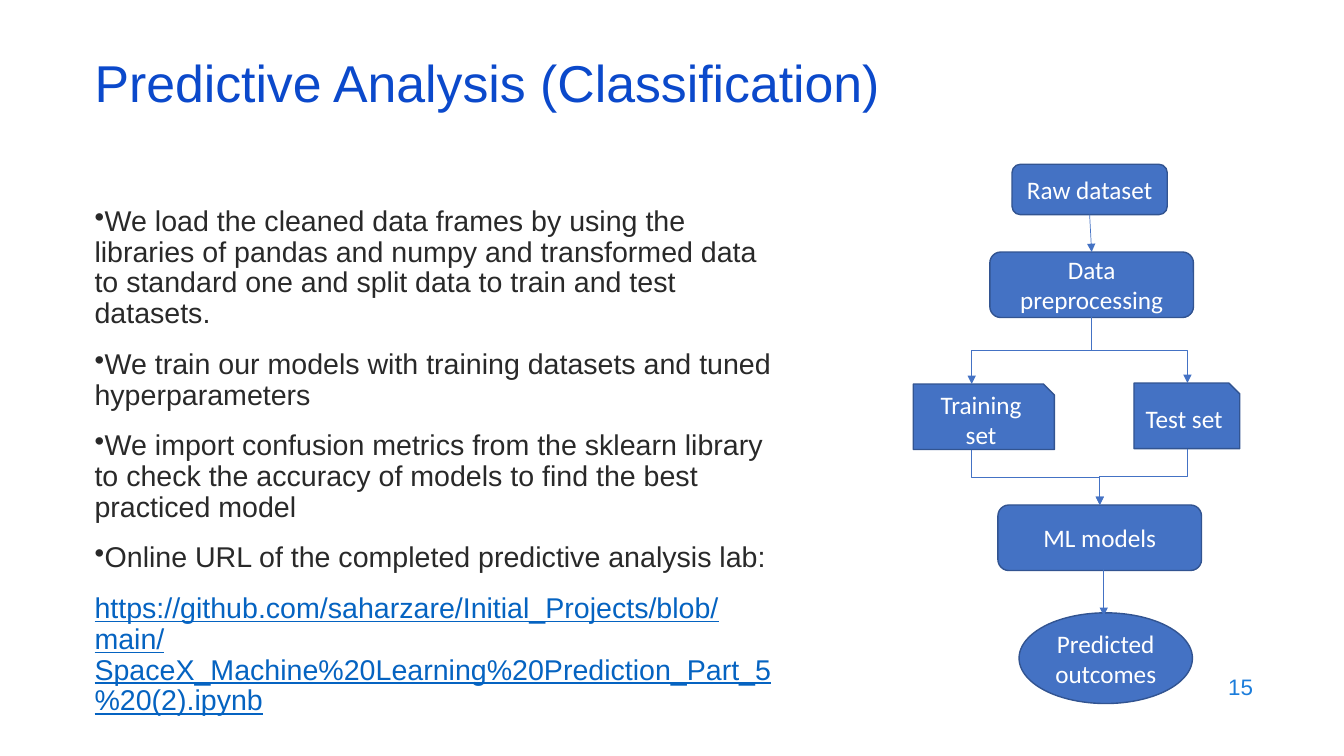
from dataclasses import dataclass
from typing import Any

from lxml import etree
from pptx import Presentation
from pptx.dml.color import RGBColor
from pptx.enum.shapes import MSO_CONNECTOR, MSO_SHAPE
from pptx.enum.text import MSO_ANCHOR, PP_ALIGN
from pptx.oxml.ns import qn
from pptx.util import Inches, Pt

ROUNDED = MSO_SHAPE.ROUNDED_RECTANGLE
SNIPPED = MSO_SHAPE.SNIP_1_RECTANGLE
OVAL = MSO_SHAPE.OVAL
STRAIGHT = MSO_CONNECTOR.STRAIGHT
ELBOW = MSO_CONNECTOR.ELBOW
TOP, MIDDLE = MSO_ANCHOR.TOP, MSO_ANCHOR.MIDDLE
LEFT, CENTER, RIGHT = PP_ALIGN.LEFT, PP_ALIGN.CENTER, PP_ALIGN.RIGHT

COLUMNS, ROWS = 80, 45
SLIDE_WIDTH, SLIDE_HEIGHT = Inches(13.33), Inches(7.5)
TOP_SITE, BOTTOM_SITE = 0, 2
QUARTER_TURN = 5400000

COLORS = {
    "title": "0B49CB",
    "body": "292929",
    "link": "0563C1",
    "number": "1C7DDB",
    "step": "4472C4",
    "outline": "325491",
    "label": "FFFFFF",
}


@dataclass(frozen=True)
class Area:
    column: float
    row: float
    columns: float
    rows: float


@dataclass(frozen=True)
class Line:
    text: str
    color: str
    bullet: bool = False
    underline: bool | None = None


@dataclass(frozen=True)
class TextBlock:
    area: Area
    lines: tuple[Line, ...]
    size: float
    anchor: MSO_ANCHOR
    alignment: PP_ALIGN
    spacing: float = 1.0
    gap: float = 0


@dataclass(frozen=True)
class Step:
    label: str
    outline: MSO_SHAPE
    area: Area


@dataclass(frozen=True)
class Arrow:
    start: tuple[float, float]
    end: tuple[float, float]


TEXT_BLOCKS = (
    TextBlock(Area(57.18, 39.54, 18, 2.64), (Line("15", "number"),), 16, MIDDLE, RIGHT),
    TextBlock(
        Area(5.04, 12, 41.58, 28.56),
        (
            Line("We load the cleaned data frames by using the libraries of pandas and numpy "
                 "and transformed data to standard one and split data to train and test datasets.",
                 "body", bullet=True),
            Line("We train our models with training datasets and tuned hyperparameters",
                 "body", bullet=True),
            Line("We import confusion metrics from the sklearn library to check the accuracy "
                 "of models to find the best practiced model", "body", bullet=True),
            Line("Online URL of the completed predictive analysis lab:", "body", bullet=True),
            Line("https://github.com/saharzare/Initial_Projects/blob/main/"
                 "SpaceX_Machine%20Learning%20Prediction_Part_5%20(2).ipynb",
                 "link", underline=True),
        ),
        20.4, TOP, LEFT, spacing=0.9, gap=14,
    ),
    TextBlock(Area(5.04, 3.54, 69, 3.6),
              (Line("Predictive Analysis (Classification)", "title"),),
              37, MIDDLE, LEFT, spacing=0.7),
)

RAW, PREPROCESSING = "Raw dataset", "Data preprocessing"
STEPS = (
    Step(RAW, ROUNDED, Area(60.24, 9.78, 9.24, 3)),
    Step(PREPROCESSING, ROUNDED, Area(58.92, 15, 12.12, 3.9)),
    Step("Training set", SNIPPED, Area(54.36, 22.86, 8.4, 3.9)),
    Step("Test set", SNIPPED, Area(67.5, 22.8, 6.3, 3.9)),
    Step("ML models", ROUNDED, Area(59.4, 30.06, 12.12, 3.9)),
    Step("Predicted outcomes", OVAL, Area(60.66, 36.48, 10.32, 5.4)),
)

SPLIT, MERGE = (64.98, 18.9), (65.46, 30.06)
TRAINING_COLUMN, TEST_COLUMN = 57.84, 70.68
BRANCHES = (
    Arrow(SPLIT, (TRAINING_COLUMN, 22.86)),
    Arrow(SPLIT, (TEST_COLUMN, 22.8)),
    Arrow((TRAINING_COLUMN, 26.76), MERGE),
    Arrow((TEST_COLUMN, 26.7), MERGE),
)
PREDICTION = Arrow((65.7, 33.3), (65.7, 36.66))


def x(columns: float) -> int:
    return round(SLIDE_WIDTH * columns / COLUMNS)


def y(rows: float) -> int:
    return round(SLIDE_HEIGHT * rows / ROWS)


def place(area: Area) -> tuple[int, int, int, int]:
    return x(area.column), y(area.row), x(area.columns), y(area.rows)


def color(name: str) -> RGBColor:
    return RGBColor.from_string(COLORS[name])


def apply(target: Any, values: dict[str, Any]) -> None:
    for attribute, value in values.items():
        setattr(target, attribute, value)


def add_text(slide: Any, block: TextBlock) -> None:
    frame = slide.shapes.add_textbox(*place(block.area)).text_frame
    apply(frame, {"word_wrap": True, "vertical_anchor": block.anchor})
    for index, line in enumerate(block.lines):
        paragraph = frame.add_paragraph() if index else frame.paragraphs[0]
        if line.bullet:
            properties = paragraph._p.get_or_add_pPr()
            apply_bullet = etree.SubElement(properties, qn("a:buChar"))
            apply_bullet.set("char", "•")
        apply(paragraph, {
            "alignment": block.alignment,
            "line_spacing": block.spacing,
            "space_before": Pt(block.gap if index else 0),
        })
        run = paragraph.add_run()
        run.text = line.text
        apply(run.font, {"name": "Arial", "size": Pt(block.size), "underline": line.underline})
        run.font.color.rgb = color(line.color)


def add_step(slide: Any, step: Step) -> Any:
    shape = slide.shapes.add_shape(step.outline, *place(step.area))
    shape.shadow.inherit = False
    shape.fill.solid()
    shape.fill.fore_color.rgb = color("step")
    shape.line.color.rgb = color("outline")
    shape.line.width = Pt(1)
    apply(shape.text_frame, {"word_wrap": True, "vertical_anchor": MIDDLE})
    paragraph = shape.text_frame.paragraphs[0]
    paragraph.alignment = CENTER
    run = paragraph.add_run()
    run.text = step.label
    apply(run.font, {"name": "Calibri", "size": Pt(18)})
    run.font.color.rgb = color("label")
    return shape


def style_arrow(connector: Any) -> None:
    connector.line.color.rgb = color("step")
    connector.line.width = Pt(0.5)
    etree.SubElement(connector.line._get_or_add_ln(), qn("a:tailEnd")).set("type", "triangle")
    etree.SubElement(connector._element.spPr, qn("a:effectLst"))


def add_straight(slide: Any, arrow: Arrow) -> Any:
    (start_x, start_y), (end_x, end_y) = arrow.start, arrow.end
    connector = slide.shapes.add_connector(STRAIGHT, x(start_x), y(start_y), x(end_x), y(end_y))
    style_arrow(connector)
    return connector


def add_branch(slide: Any, arrow: Arrow) -> None:
    start_x, end_x = x(arrow.start[0]), x(arrow.end[0])
    start_y, end_y = y(arrow.start[1]), y(arrow.end[1])
    drop, reach = end_y - start_y, abs(end_x - start_x)
    left = (start_x + end_x - drop) // 2
    top = (start_y + end_y - reach) // 2
    connector = slide.shapes.add_connector(ELBOW, left, top, left + drop, top + reach)
    frame = connector._element.spPr.find(qn("a:xfrm"))
    if end_x > start_x:
        frame.set("rot", str(3 * QUARTER_TURN))
        frame.set("flipH", "1")
    else:
        frame.set("rot", str(QUARTER_TURN))
    style_arrow(connector)


def main() -> None:
    presentation = Presentation()
    apply(presentation, {"slide_width": SLIDE_WIDTH, "slide_height": SLIDE_HEIGHT})
    slide = presentation.slides.add_slide(presentation.slide_layouts[6])
    for block in TEXT_BLOCKS:
        add_text(slide, block)
    steps = {step.label: add_step(slide, step) for step in STEPS}
    loading = add_straight(slide, Arrow((64.86, 12.78), (64.98, 15)))
    loading.begin_connect(steps[RAW], BOTTOM_SITE)
    loading.end_connect(steps[PREPROCESSING], TOP_SITE)
    for branch in BRANCHES:
        add_branch(slide, branch)
    add_straight(slide, PREDICTION)
    presentation.save("out.pptx")


if __name__ == "__main__":
    main()
